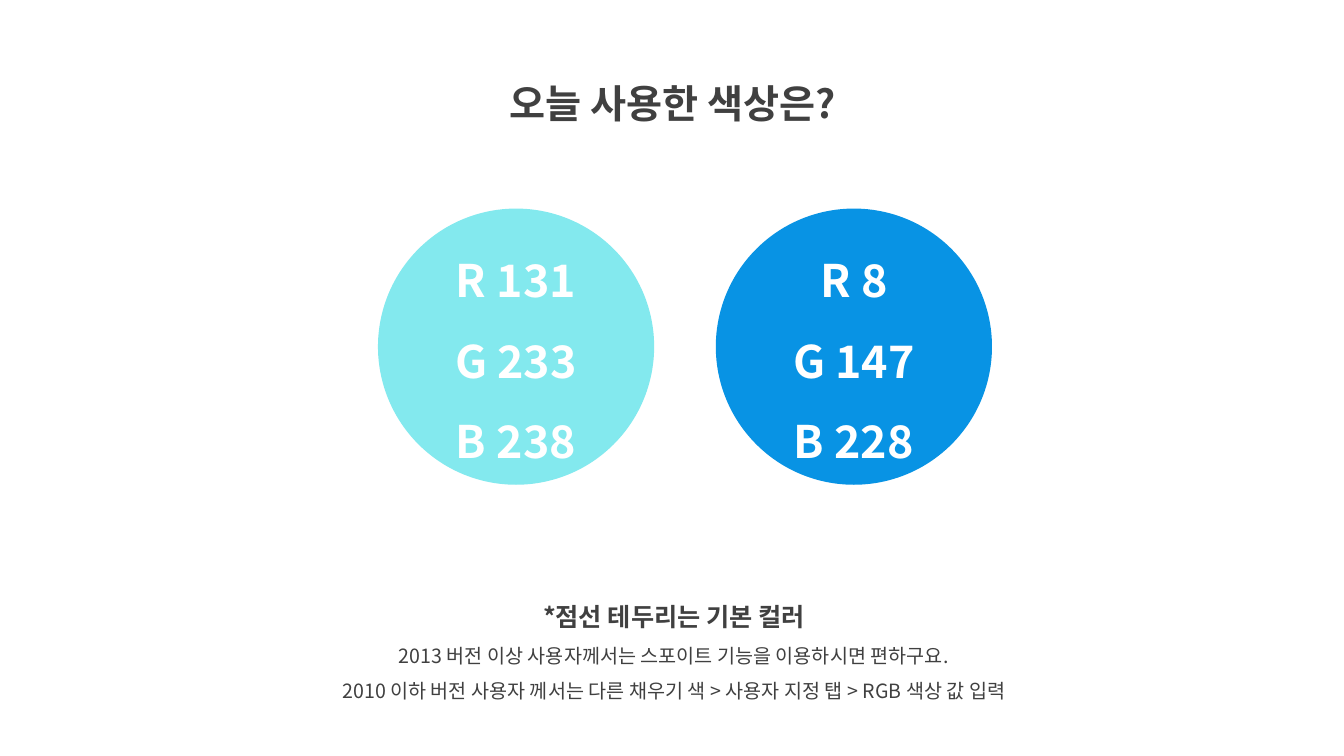
"""Build a slide that shows the two colours used today and how to apply them."""
import pptx
import pptx.dml.color
import pptx.enum.shapes
import pptx.enum.text
import pptx.oxml.ns
import pptx.util
from lxml import etree

Pt = pptx.util.Pt
RGBColor = pptx.dml.color.RGBColor
MSO_ANCHOR = pptx.enum.text.MSO_ANCHOR

FONT = "Noto Sans CJK KR"
DARK = RGBColor(0x40, 0x40, 0x40)
WHITE = RGBColor(0xFF, 0xFF, 0xFF)
AQUA = RGBColor(131, 233, 238)
BLUE = RGBColor(8, 147, 228)


def write(p, text, size=14, color=DARK, bold=False):
    p.alignment = pptx.enum.text.PP_ALIGN.CENTER
    p.line_spacing = 1.5
    r = p.add_run()
    r.text = text
    r.font.size = Pt(size)
    r.font.bold = bold
    r.font.color.rgb = color
    r.font.name = FONT
    ea = etree.SubElement(r.font._element, pptx.oxml.ns.qn("a:ea"))
    ea.set("typeface", FONT)


prs = pptx.Presentation()
prs.slide_width, prs.slide_height = Pt(960), Pt(540)
s = prs.slides.add_slide(prs.slide_layouts[5])

sp = s.shapes.title
sp.left, sp.top, sp.width, sp.height = Pt(314), Pt(36), Pt(333.3), Pt(52)
tf = sp.text_frame
tf.word_wrap = True
tf.vertical_anchor = MSO_ANCHOR.TOP
tf.auto_size = pptx.enum.text.MSO_AUTO_SIZE.SHAPE_TO_FIT_TEXT
write(tf.paragraphs[0], "오늘 사용한 색상은?", size=28, bold=True)

notes = [
    ("*점선 테두리는 기본 컬러", 18, True),
    ("2013 버전 이상 사용자께서는 스포이트 기능을 이용하시면 편하구요.", 14, False),
    ("2010 이하 버전 사용자 께서는 다른 채우기 색 > 사용자 지정 탭 > RGB 색상 값 입력", 14, False),
]
sp = s.shapes.add_textbox(Pt(193.7), Pt(415.4), Pt(575.3), Pt(90.7))
tf = sp.text_frame
tf.word_wrap = True
tf.auto_size = pptx.enum.text.MSO_AUTO_SIZE.SHAPE_TO_FIT_TEXT
for i, (text, size, bold) in enumerate(notes):
    p = tf.add_paragraph() if i else tf.paragraphs[0]
    write(p, text, size=size, bold=bold)

for col, fill in enumerate((AQUA, BLUE)):
    sp = s.shapes.add_shape(pptx.enum.shapes.MSO_SHAPE.OVAL,
                            Pt(270 + 241.3 * col), Pt(149), Pt(197.3), Pt(197.3))
    sp.shadow.inherit = False
    sp.fill.solid()
    sp.fill.fore_color.rgb = fill
    sp.line.fill.background()
    tf = sp.text_frame
    tf.word_wrap = True
    tf.vertical_anchor = MSO_ANCHOR.MIDDLE
    for i, (letter, value) in enumerate(zip("RGB", fill)):
        p = tf.add_paragraph() if i else tf.paragraphs[0]
        write(p, f"{letter} {value}", size=32, color=WHITE, bold=True)

prs.save("out.pptx")
